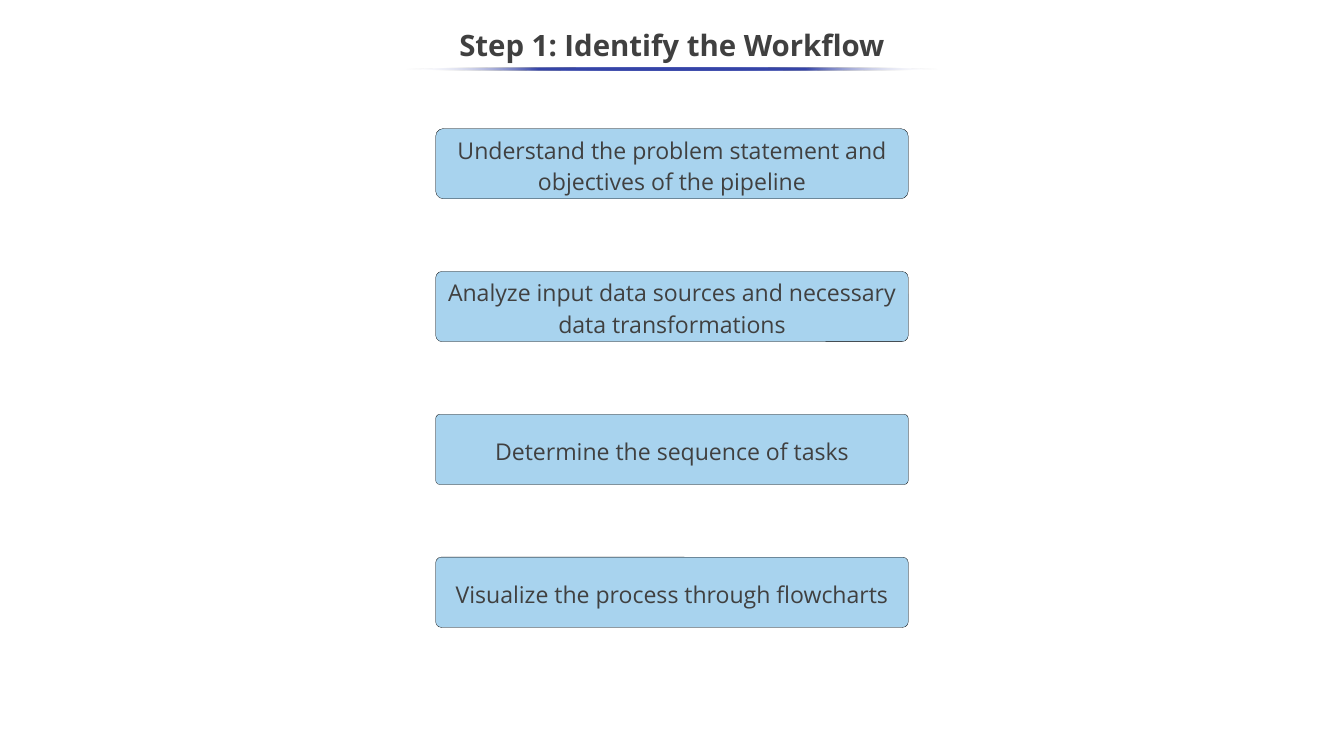
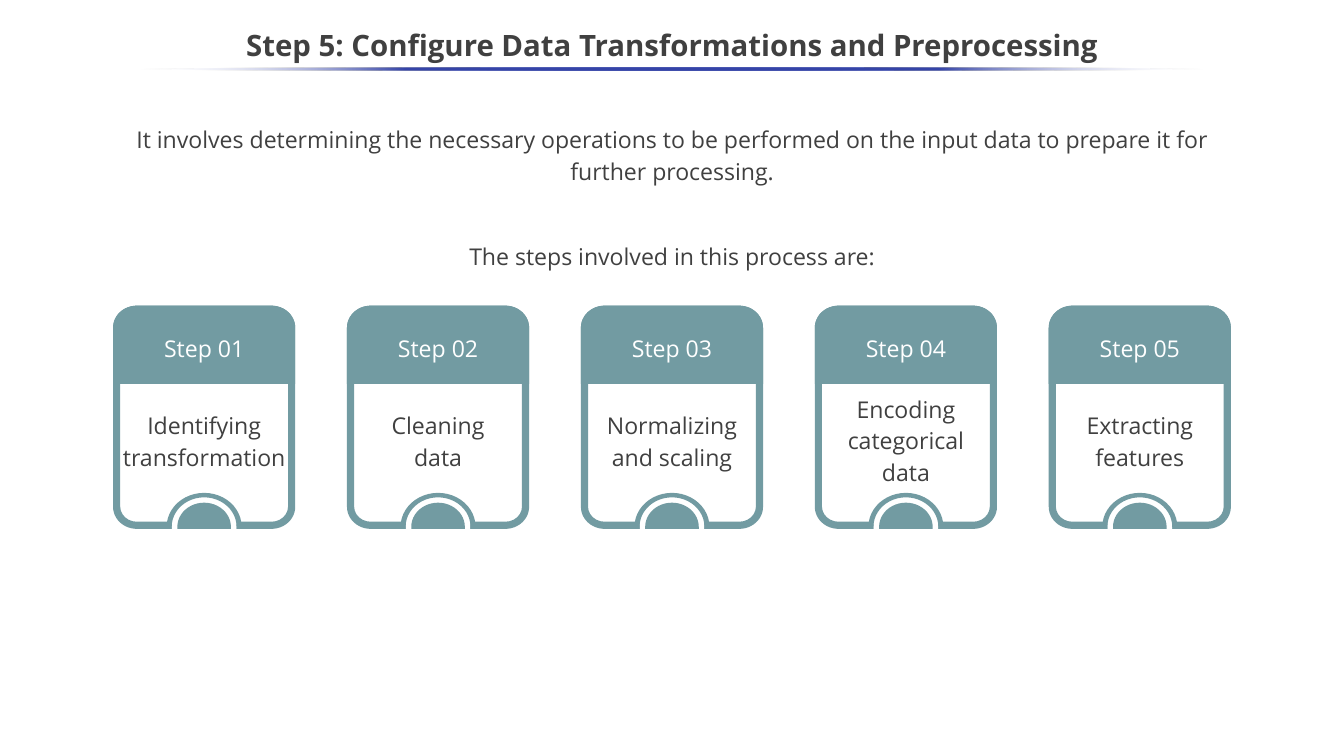
import math
from dataclasses import dataclass
from typing import Optional

from lxml import etree
from pptx import Presentation
from pptx import util as u
from pptx.dml.color import RGBColor
from pptx.enum import shapes, text
from pptx.oxml.ns import qn

COLOURS = {
    "ink": "404040",
    "white": "FFFFFF",
    "black": "000000",
    "sky": "A8D3EE",
    "teal": "729BA2",
    "indigo": "3645A9",
}
FONT = "Open Sans"
PAGE_WIDTH, PAGE_HEIGHT = 45.16, 25.4
CENTRE = PAGE_WIDTH / 2
BODY_SPACING = 1.15

TASK_TOP, TASK_PITCH = 4.32, 4.8
TASK_WIDTH, TASK_HEIGHT = 15.88, 2.36

CARD_PITCH = 7.86
CARD_TOP, CARD_BOTTOM, HEADER_BOTTOM = 10.27, 17.77, 12.9
CARD_HALF, CARD_BORDER = 3.06, 0.24
CORNER = (0.8, 0.74)
INNER_CORNER = (0.56, 0.51)
ARCH_CENTRE = 17.7
ARCH_OUTER, ARCH_INNER, DOME = (1.26, 1.14), (1.09, 0.99), (0.9, 0.81)
CAPTION_MIDDLE = 14.58

Radii = tuple[float, float]


@dataclass(frozen=True)
class Bend:
    radii: Radii
    start: int
    sweep: int


@dataclass(frozen=True)
class Vertex:
    x: float
    y: float
    bend: Optional[Bend] = None


@dataclass(frozen=True)
class Task:
    label: str
    rounding: float


@dataclass(frozen=True)
class Card:
    caption: tuple[str, ...]
    width: float
    height: float = 2.03


TASKS = (
    Task("Understand the problem statement and objectives of the pipeline", 0.11),
    Task("Analyze input data sources and necessary data transformations", 0.09),
    Task("Determine the sequence of tasks", 0.06),
    Task("Visualize the process through flowcharts", 0.08),
)
CARDS = (
    Card(("Identifying", "transformation"), 6.02),
    Card(("Cleaning data",), 4.06),
    Card(("Normalizing and scaling",), 5.64),
    Card(("Encoding", "categorical data"), 5.1, 3.15),
    Card(("Extracting features",), 4.67),
)


def colour(name: str) -> RGBColor:
    return RGBColor.from_string(COLOURS[name])


def cm_box(left: float, top: float, width: float, height: float) -> tuple:
    return u.Cm(left), u.Cm(top), u.Cm(width), u.Cm(height)


def paint(shape, fill: str) -> None:
    shape.shadow.inherit = False
    shape.fill.solid()
    shape.fill.fore_color.rgb = colour(fill)
    shape.line.fill.background()


def write(box, lines: tuple[str, ...], size: float = 22, ink: str = "ink",
          bold: bool = False, spacing: float = BODY_SPACING, gap: float = 0,
          middle: bool = False) -> None:
    frame = box.text_frame
    frame.word_wrap = True
    frame.vertical_anchor = text.MSO_ANCHOR.MIDDLE if middle else text.MSO_ANCHOR.TOP
    for index, line in enumerate(lines):
        para = frame.add_paragraph() if index else frame.paragraphs[0]
        para.alignment = text.PP_ALIGN.CENTER
        para.line_spacing = spacing
        para.space_before = u.Pt(gap if index else 0)
        span = para.add_run()
        span.text = line
        span.font.name = FONT
        span.font.size = u.Pt(size)
        span.font.bold = bold
        span.font.color.rgb = colour(ink)


def add_underline(page, width: float) -> None:
    rule = page.shapes.add_shape(
        shapes.MSO_SHAPE.OVAL, *cm_box(CENTRE - width / 2, 2.26, width, 0.1))
    rule.shadow.inherit = False
    rule.line.fill.background()
    rule.fill.gradient()
    rule.fill.gradient_angle = 180
    stops = rule.element.spPr.find(qn("a:gradFill")).find(qn("a:gsLst"))
    for stop in list(stops):
        stops.remove(stop)
    for position in (0, 25, 50, 75, 100):
        faded = position in (0, 100)
        stop = etree.SubElement(stops, qn("a:gs"), pos=str(position * 1000))
        shade = etree.SubElement(stop, qn("a:srgbClr"),
                                 val=COLOURS["white" if faded else "indigo"])
        if faded:
            etree.SubElement(shade, qn("a:alpha"), val="0")


def add_page(deck, title: str, rule_width: float):
    page = deck.slides.add_slide(deck.slide_layouts[6])
    box = page.shapes.add_textbox(*cm_box(-0.03, 0.64, 45.21, 1.91))
    write(box, (title,), size=28, bold=True, spacing=0.9, middle=True)
    add_underline(page, rule_width)
    return page


def quarter(x: float, y: float, radii: Radii, start: int, sweep: int = 90) -> list[Vertex]:
    def at(angle: int, bend: Optional[Bend] = None) -> Vertex:
        turn = math.radians(angle)
        return Vertex(x + radii[0] * math.cos(turn), y + radii[1] * math.sin(turn), bend)

    return [at(start), at(start + sweep, Bend(radii, start % 360, sweep))]


def rounded_loop(x: float, inset: float, radii: Radii, sweep: int) -> list[Vertex]:
    across = CARD_HALF - inset - radii[0]
    upper = CARD_TOP + inset + radii[1]
    lower = CARD_BOTTOM - inset - radii[1]
    corners = [(x - across, lower, 90), (x - across, upper, 180),
               (x + across, upper, 270), (x + across, lower, 0)]
    if sweep < 0:
        corners = [(cx, cy, start + 90) for cx, cy, start in reversed(corners)]
    return [vertex for cx, cy, start in corners
            for vertex in quarter(cx, cy, radii, start, sweep)]


def frame_outline(x: float) -> list[Vertex]:
    gap, inner_bottom = ARCH_INNER[0], CARD_BOTTOM - CARD_BORDER
    return ([Vertex(x - gap, CARD_BOTTOM)]
            + rounded_loop(x, 0, CORNER, 90)
            + [Vertex(x + gap, CARD_BOTTOM), Vertex(x + gap, inner_bottom)]
            + rounded_loop(x, CARD_BORDER, INNER_CORNER, -90)
            + [Vertex(x - gap, inner_bottom)])


def header_outline(x: float) -> list[Vertex]:
    across, upper = CARD_HALF - CORNER[0], CARD_TOP + CORNER[1]
    return ([Vertex(x - CARD_HALF, HEADER_BOTTOM)]
            + quarter(x - across, upper, CORNER, 180)
            + quarter(x + across, upper, CORNER, 270)
            + [Vertex(x + CARD_HALF, HEADER_BOTTOM)])


def dome_outline(x: float, radii: Radii, sweep: int = 90) -> list[Vertex]:
    side = math.copysign(radii[0], sweep)
    start = 180 if sweep > 0 else 360
    return ([Vertex(x - side, CARD_BOTTOM)]
            + quarter(x, ARCH_CENTRE, radii, start, sweep)
            + quarter(x, ARCH_CENTRE, radii, start + sweep, sweep)[1:]
            + [Vertex(x + side, CARD_BOTTOM)])


def add_outline(group, outline: list[Vertex]) -> None:
    first, *others = outline
    builder = group.shapes.build_freeform(u.Cm(first.x), u.Cm(first.y))
    builder.add_line_segments([(u.Cm(v.x), u.Cm(v.y)) for v in others], close=True)
    shape = builder.convert_to_shape()
    paint(shape, "teal")
    for segment in list(shape.element.spPr.iter(qn("a:lnTo"))):
        vertex = others.pop(0)
        if vertex.bend:
            bend = vertex.bend
            curve = etree.Element(
                qn("a:arcTo"),
                wR=str(u.Cm(bend.radii[0])), hR=str(u.Cm(bend.radii[1])),
                stAng=str(bend.start * 60000), swAng=str(bend.sweep * 60000))
            segment.getparent().replace(segment, curve)


def add_card(page, card: Card, number: int) -> None:
    x = CENTRE + (number - (len(CARDS) + 1) / 2) * CARD_PITCH
    group = page.shapes.add_group_shape()
    caption = group.shapes.add_textbox(*cm_box(
        x - card.width / 2, CAPTION_MIDDLE - card.height / 2, card.width, card.height))
    write(caption, card.caption)
    arch = dome_outline(x, ARCH_OUTER) + dome_outline(x, ARCH_INNER, -90)
    for outline in (frame_outline(x), header_outline(x), dome_outline(x, DOME), arch):
        add_outline(group, outline)
    label = group.shapes.add_shape(
        shapes.MSO_SHAPE.RECTANGLE, *cm_box(x - 3.03, 11.3, 6.06, 0.81))
    paint(label, "teal")
    write(label, (f"Step {number:02}",), ink="white", spacing=1.0, middle=True)


def add_task(page, task: Task, index: int) -> None:
    box = page.shapes.add_shape(
        shapes.MSO_SHAPE.ROUNDED_RECTANGLE,
        *cm_box(CENTRE - TASK_WIDTH / 2, TASK_TOP + index * TASK_PITCH,
                TASK_WIDTH, TASK_HEIGHT))
    box.adjustments[0] = task.rounding
    paint(box, "sky")
    box.line.color.rgb = colour("black")
    box.line.width = u.Pt(0.25)
    frame = box.text_frame
    frame.margin_top = frame.margin_bottom = u.Cm(0.25)
    write(box, (task.label,), middle=True)


def build_workflow(deck) -> None:
    page = add_page(deck, "Step 1: Identify the Workflow", 17.88)
    for index, task in enumerate(TASKS):
        add_task(page, task, index)


def build_preprocessing(deck) -> None:
    page = add_page(
        deck, "Step 5: Configure Data Transformations and Preprocessing", 35.79)
    intro = page.shapes.add_textbox(*cm_box(3.56, 4.09, 38.05, 2.51))
    intro.text_frame.margin_top = intro.text_frame.margin_bottom = u.Cm(0)
    write(intro, (
        "It involves determining the necessary operations to be performed on "
        "the input data to prepare it for further processing.",
        "The steps involved in this process are:",
    ), gap=50)
    for number, card in enumerate(CARDS, start=1):
        add_card(page, card, number)


def main() -> None:
    deck = Presentation()
    deck.slide_width, deck.slide_height = u.Cm(PAGE_WIDTH), u.Cm(PAGE_HEIGHT)
    build_workflow(deck)
    build_preprocessing(deck)
    deck.save("out.pptx")


if __name__ == "__main__":
    main()
